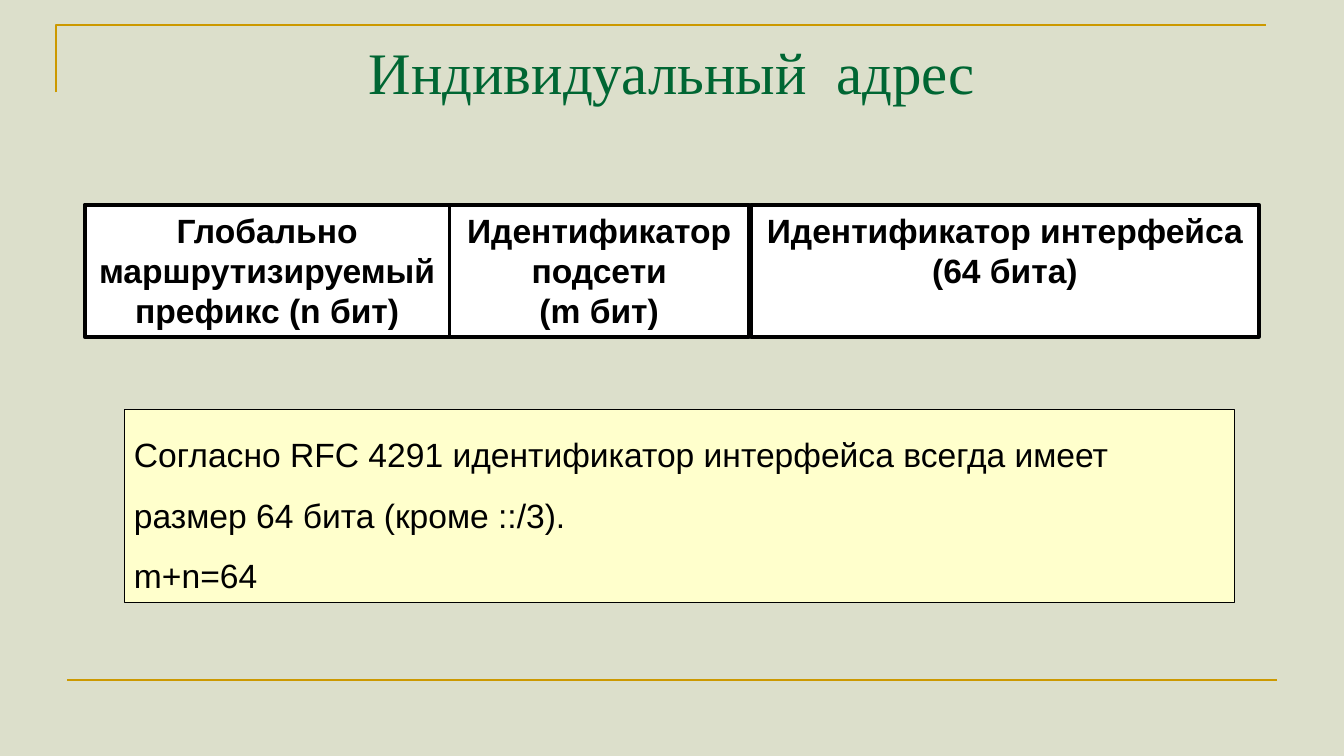
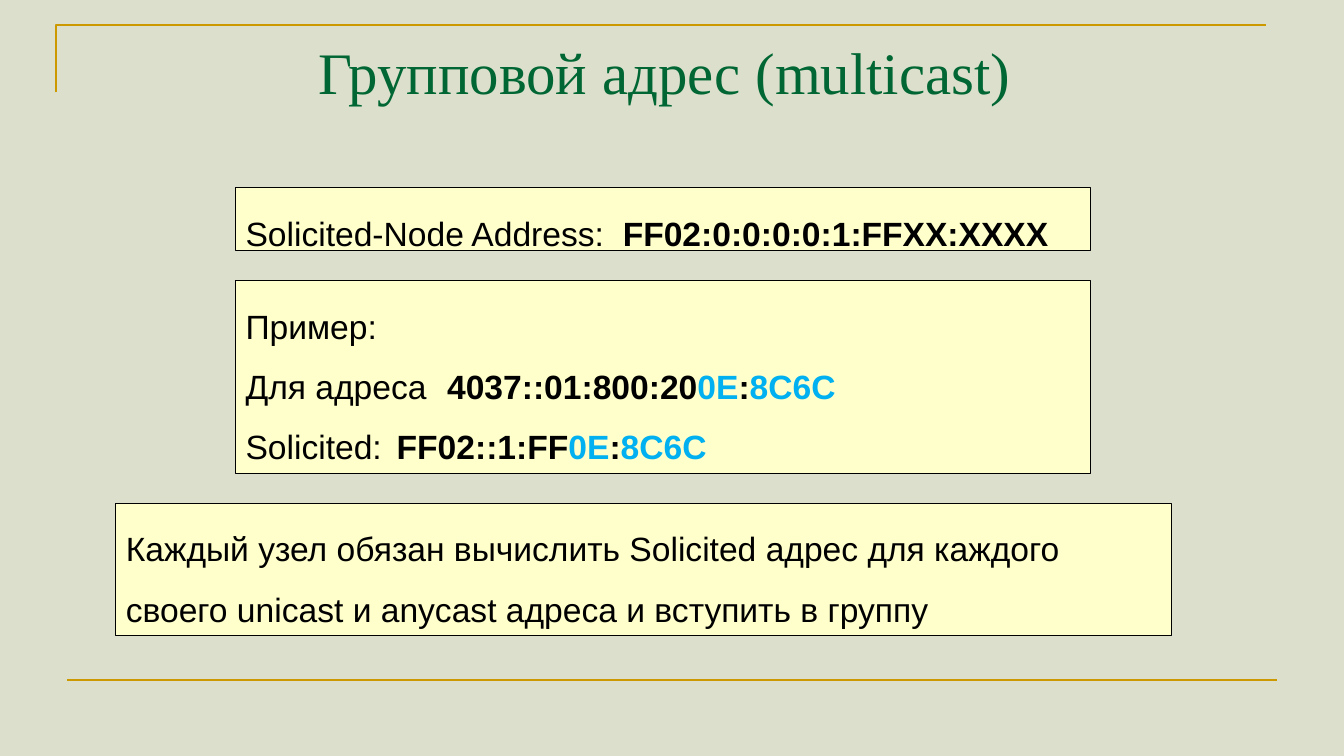
from pptx import Presentation
from pptx.dml.color import RGBColor
from pptx.enum.shapes import MSO_CONNECTOR, MSO_SHAPE
from pptx.enum.text import MSO_ANCHOR, PP_ALIGN
from pptx.oxml.xmlchemy import OxmlElement
from pptx.util import Pt

RECT, LINE = MSO_SHAPE.RECTANGLE, MSO_CONNECTOR.STRAIGHT
LEFT, CENTER, TOP = PP_ALIGN.LEFT, PP_ALIGN.CENTER, MSO_ANCHOR.TOP

SAGE = RGBColor(0xDC, 0xDF, 0xCB)
GOLD = RGBColor(0xCC, 0x99, 0x00)
GREEN = RGBColor(0x00, 0x66, 0x33)
CREAM = RGBColor(0xFF, 0xFF, 0xCC)
WHITE = RGBColor(0xFF, 0xFF, 0xFF)
BLACK = RGBColor(0x00, 0x00, 0x00)
BLUE = RGBColor(0x00, 0xB0, 0xF0)

TITLE = {"name": "Times New Roman", "size": Pt(42), "color": GREEN}
BODY = {"name": "Arial", "size": Pt(24), "color": BLACK, "bold": False}
BOLD = {**BODY, "bold": True}
MARK = {**BOLD, "color": BLUE}


def set_font(font, style):
    for key, value in style.items():
        if key == "color":
            font.color.rgb = value
        else:
            setattr(font, key, value)


def set_line(shape, color, width):
    shape.line.color.rgb = color
    shape.line.width = Pt(width)


def write(sp, paragraphs, align, spacing=1.0):
    """Each paragraph is a list of (text, style) runs."""
    tf = sp.text_frame
    tf.word_wrap = True
    tf.vertical_anchor = TOP
    for i, runs in enumerate(paragraphs):
        p = tf.add_paragraph() if i else tf.paragraphs[0]
        p.alignment = align
        p.line_spacing = spacing
        for text, style in runs:
            r = p.add_run()
            r.text = text
            set_font(r.font, style)


def add_box(s, x, y, w, h, fill, line_width):
    sp = s.shapes.add_shape(RECT, Pt(x), Pt(y), Pt(w), Pt(h))
    sp.shadow.inherit = False
    sp.fill.solid()
    sp.fill.fore_color.rgb = fill
    set_line(sp, BLACK, line_width)
    return sp


def add_note(s, x, y, w, h, paragraphs):
    write(add_box(s, x, y, w, h, CREAM, 0.75), paragraphs, LEFT, 1.5)


def add_field(s, x, w, lines):
    sp = add_box(s, x, 146.2, w, 94.3, WHITE, 2.75)
    write(sp, [[(line, BOLD)] for line in lines], CENTER)


def add_frame(s):
    # Corner rule at the top
    fb = s.shapes.build_freeform(Pt(40.3), Pt(66))
    fb.add_line_segments([(Pt(40.3), Pt(18)), (Pt(904.3), Pt(18))], close=False)
    corner = fb.convert_to_shape()
    corner.shadow.inherit = False
    corner.fill.background()
    set_line(corner, GOLD, 1.5)
    # Rule at the bottom
    rule = s.shapes.add_connector(LINE, Pt(48), Pt(486), Pt(912), Pt(486))
    set_line(rule, GOLD, 1.5)
    rule._element.spPr.append(OxmlElement("a:effectLst"))


def new_slide(prs, title):
    s = prs.slides.add_slide(prs.slide_layouts[6])
    s.background.fill.solid()
    s.background.fill.fore_color.rgb = SAGE
    add_frame(s)
    sp = s.shapes.add_textbox(Pt(48), Pt(21.6), Pt(864), Pt(90))
    write(sp, [[(title, TITLE)]], CENTER)
    return s


def unicast_slide(prs):
    s = new_slide(prs, "Индивидуальный  адрес")
    # Address fields
    add_field(s, 60.5, 260.6, ["Глобально маршрутизируемый префикс (n бит)"])
    add_field(s, 321.1, 213.8, ["Идентификатор подсети", "(m бит)"])
    add_field(s, 536.4, 362.9, ["Идентификатор интерфейса", "(64 бита)"])
    # Rule for the field sizes
    add_note(s, 88.6, 292.3, 793.4, 138.3, [
        [("Согласно RFC 4291 идентификатор интерфейса всегда имеет "
          "размер 64 бита (кроме ::/3).", BODY)],
        [("m+n=64", BODY)],
    ])


def multicast_slide(prs):
    s = new_slide(prs, "Групповой адрес (multicast) ")
    # Address format
    add_note(s, 168.3, 133.9, 610.6, 45.4, [
        [("Solicited-Node Address:  ", BODY), ("FF02:0:0:0:0:1:FFXX:XXXX", BOLD)],
    ])
    # Example, with the shared address tail marked
    tail = [("0E", MARK), (":", BOLD), ("8C6C", MARK)]
    add_note(s, 168.3, 200.2, 610.6, 138.3, [
        [("Пример:", BODY)],
        [("Для адреса \t", BODY), ("4037::01:800:20", BOLD), *tail],
        [("Solicited: \t", BODY), ("FF02::1:FF", BOLD), *tail],
    ])
    # Duty of every node
    add_note(s, 82.8, 359.4, 753.8, 94.3, [
        [("Каждый узел обязан вычислить Solicited адрес для каждого "
          "своего unicast и anycast адреса и вступить в группу", BODY)],
    ])


def main():
    prs = Presentation()
    prs.slide_width, prs.slide_height = Pt(960), Pt(540)
    unicast_slide(prs)
    multicast_slide(prs)
    prs.save("out.pptx")


if __name__ == "__main__":
    main()
